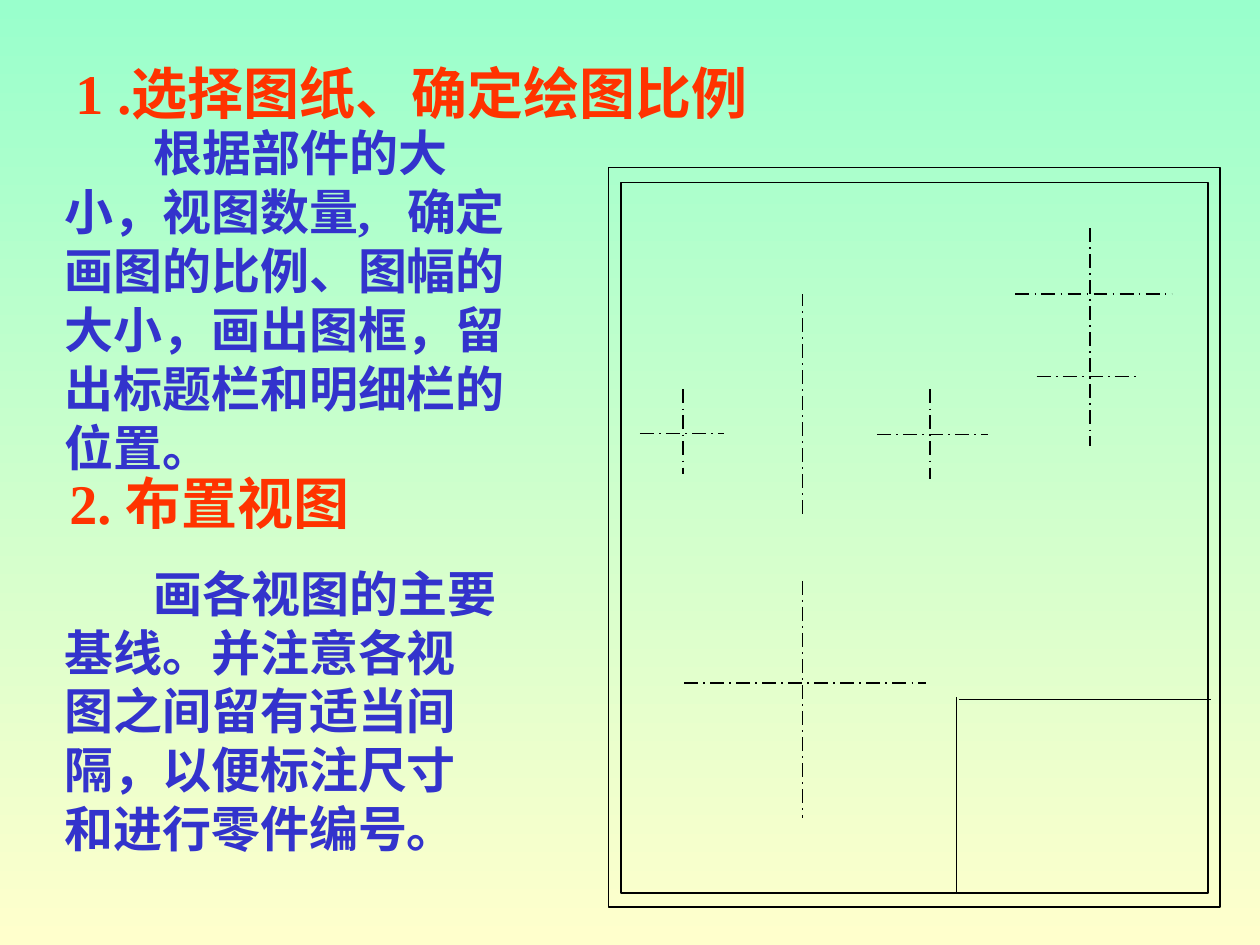
from dataclasses import dataclass

import pptx
import pptx.dml.color
import pptx.enum.dml
import pptx.enum.shapes
import pptx.enum.text
import pptx.oxml
import pptx.oxml.ns
import pptx.util

Cm = pptx.util.Cm
COLORS = {
    "top": "99FFCC",
    "bottom": "FFFFCC",
    "ink": "000000",
    "heading": "FF3300",
    "body": "3333CC",
}
FONT = "Times New Roman"
GAP_SPACING = "1400"


@dataclass(frozen=True)
class Frame:
    left: float
    top: float
    width: float
    height: float


@dataclass(frozen=True)
class Stroke:
    x1: float
    y1: float
    x2: float
    y2: float
    dashed: bool = True


@dataclass(frozen=True)
class Passage:
    frame: Frame
    pieces: tuple[str, ...]
    heading: bool
    wrap: bool = True


SHEET_FRAMES = [Frame(12.27, 3.38, 12.32, 14.91), Frame(12.52, 3.68, 11.84, 14.33)]

STROKES = [
    Stroke(19.28, 17.98, 19.28, 14.05, dashed=False),
    Stroke(19.33, 14.1, 24.41, 14.1, dashed=False),
    Stroke(12.9, 8.74, 14.6, 8.74),
    Stroke(20.9, 7.59, 22.94, 7.59),
    Stroke(21.97, 4.6, 21.97, 8.99),
    Stroke(13.79, 13.77, 18.67, 13.77),
    Stroke(16.18, 11.71, 16.18, 16.48),
    Stroke(16.18, 10.36, 16.18, 5.92),
    Stroke(13.77, 7.85, 13.77, 9.55),
    Stroke(17.68, 8.76, 19.91, 8.76),
    Stroke(18.75, 7.85, 18.75, 9.65),
    Stroke(20.47, 5.92, 23.62, 5.92),
]

PASSAGES = [
    Passage(
        Frame(1.05, 2.35, 9.68, 7.37),
        (
            "根据部件的大小，视图数量,",
            " ",
            "确定画图的比例、图幅的大小，画出图框，留出标题栏和明细栏的位置。",
        ),
        heading=False,
    ),
    Passage(Frame(1.27, 1.06, 14.81, 1.63), ("1 .选择图纸、确定绘图比例",), heading=True),
    Passage(
        Frame(1.05, 11.22, 9.3, 6.2),
        ("画各视图的主要基线。并注意各视图之间留有适当间隔，以便标注尺寸和进行零件编号。",),
        heading=False,
    ),
    Passage(Frame(1.15, 9.32, 6.43, 1.63), ("2. 布置视图",), heading=True, wrap=False),
]


def rgb(name: str) -> pptx.dml.color.RGBColor:
    """Return the named colour."""
    return pptx.dml.color.RGBColor.from_string(COLORS[name])


def lengths(frame: Frame) -> tuple:
    """Return left, top, width and height of a frame."""
    return Cm(frame.left), Cm(frame.top), Cm(frame.width), Cm(frame.height)


def paint_background(page) -> None:
    """Fill the page from top to bottom with the gradient."""
    fill = page.background.fill
    fill.gradient()
    fill.gradient_angle = 270
    for stop, name, position in zip(fill.gradient_stops, ("top", "bottom"), (0, 1)):
        stop.color.rgb = rgb(name)
        stop.position = position


def ink(line) -> None:
    """Give a line its colour and width."""
    line.color.rgb = rgb("ink")
    line.width = pptx.util.Pt(1)


def draw_frame(group, frame: Frame) -> None:
    """Draw one unfilled border of the drawing sheet."""
    border = group.shapes.add_shape(
        pptx.enum.shapes.MSO_SHAPE.RECTANGLE, *lengths(frame)
    )
    border.shadow.inherit = False
    border.fill.background()
    ink(border.line)


def draw_stroke(group, stroke: Stroke) -> None:
    """Draw a title block edge or a dash-dot centre line."""
    connector = group.shapes.add_connector(
        pptx.enum.shapes.MSO_CONNECTOR.STRAIGHT,
        Cm(stroke.x1), Cm(stroke.y1), Cm(stroke.x2), Cm(stroke.y2),
    )
    ink(connector.line)
    if stroke.dashed:
        connector.line.dash_style = pptx.enum.dml.MSO_LINE.LONG_DASH_DOT
    properties = connector.element.spPr
    properties.append(pptx.oxml.parse_xml(
        f"<a:effectLst {pptx.oxml.ns.nsdecls('a')}/>"
    ))


def write_passage(page, passage: Passage) -> None:
    """Write a heading or an indented body paragraph."""
    box = page.shapes.add_textbox(*lengths(passage.frame))
    text_frame = box.text_frame
    text_frame.text = passage.pieces[0]
    text_frame.word_wrap = passage.wrap
    text_frame.auto_size = pptx.enum.text.MSO_AUTO_SIZE.SHAPE_TO_FIT_TEXT
    para = text_frame.paragraphs[0]
    if not passage.heading:
        text_frame.vertical_anchor = pptx.enum.text.MSO_ANCHOR.MIDDLE
        properties = para._p.get_or_add_pPr()
        properties.set("marL", "0")
        properties.set("indent", str(Cm(1.8)))
        properties.set("hangingPunct", "0")
    for piece in passage.pieces[1:]:
        para.add_run().text = piece
    for span in para.runs:
        span.font.name = FONT
        span.font.size = pptx.util.Pt(32 if passage.heading else 28)
        span.font.bold = True
        span.font.color.rgb = rgb("heading" if passage.heading else "body")
        if span.text == " ":
            span._r.get_or_add_rPr().set("spc", GAP_SPACING)


def main() -> None:
    """Build the slide and save it."""
    deck = pptx.Presentation()
    deck.slide_width, deck.slide_height = Cm(25.4), Cm(19.05)
    page = deck.slides.add_slide(deck.slide_layouts[6])
    paint_background(page)
    sheet = page.shapes.add_group_shape()
    for frame in SHEET_FRAMES:
        draw_frame(sheet, frame)
    for stroke in STROKES:
        draw_stroke(sheet, stroke)
    for passage in PASSAGES:
        write_passage(page, passage)
    deck.save("out.pptx")


if __name__ == "__main__":
    main()
